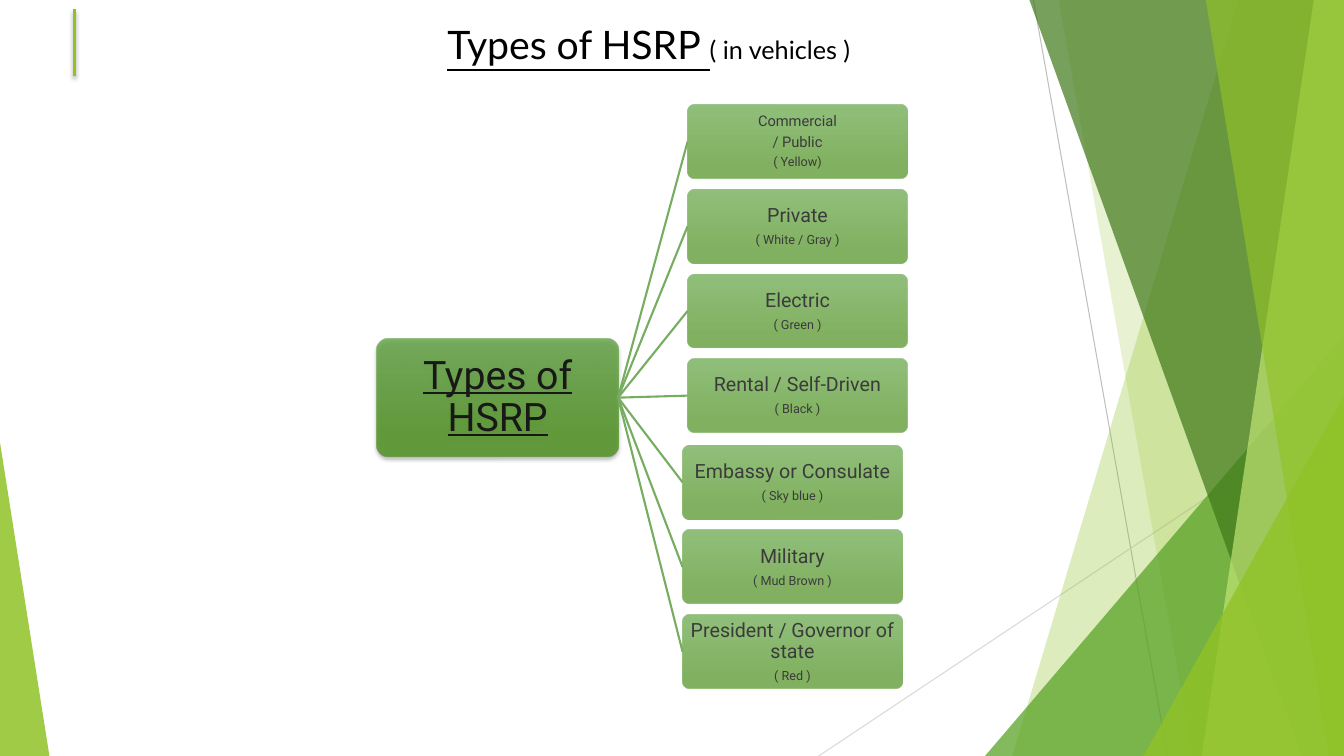
import pptx
import pptx.util
import pptx.dml.color
import pptx.enum.shapes
import pptx.enum.text
import pptx.oxml
import pptx.oxml.ns

Inches, Pt = pptx.util.Inches, pptx.util.Pt
RGB = pptx.dml.color.RGBColor.from_string
SHAPES = pptx.enum.shapes.MSO_SHAPE
CENTER = pptx.enum.text.PP_ALIGN.CENTER
MIDDLE = pptx.enum.text.MSO_ANCHOR.MIDDLE
qn = pptx.oxml.ns.qn

COLORS = {
    "lime": "90C226", "pale": "C0E474", "green": "54A021", "forest": "3F7819",
    "gray": "BFBFBF", "silver": "D9D9D9", "black": "000000",
    "top": "63A545", "bottom": "4D921E", "branch": "76AD61",
    "root": "181818", "type": "3B3B3B",
}

prs = pptx.Presentation()
prs.slide_width, prs.slide_height = Inches(13.33), Inches(7.5)
slide = prs.slides.add_slide(prs.slide_layouts[5])


def fade(shape, opacity):
    """Give every fill colour of the shape the same opacity in percent."""
    for color in shape._element.spPr.iter(qn("a:srgbClr")):
        alpha = color.makeelement(qn("a:alpha"), {"val": str(opacity * 1000)})
        color.append(alpha)


def draw_line(start, end, color, width):
    line = slide.shapes.add_connector(
        pptx.enum.shapes.MSO_CONNECTOR.STRAIGHT,
        *(Inches(value) for value in start + end))
    line.line.color.rgb = RGB(COLORS[color])
    line.line.width = Pt(width)
    spPr = line._element.spPr
    spPr.append(spPr.makeelement(qn("a:effectLst"), {}))
    return line


# Background facets: a band runs from the top x to the bottom x, to the right edge;
# a triangle has left, top, width and apex, and stands on the bottom edge
draw_line((10.25, 0), (11.58, 7.5), "gray", 0.75)
draw_line((13.33, 4.03), (8.12, 7.5), "silver", 0.75)
facets = [
    ((12.28, 10.04), "lime", 30),
    ((10.5, 11.83), "lime", 20),
    ((9.77, 3.33, 3.56, 1), "green", 72),
    ((10.21, 12.91), "forest", 70),
    ((13.03, 11.92), "pale", 70),
    ((11.96, 13.18), "lime", 65),
    ((11.34, 3.93, 1.99, 1), "lime", 80),
    ((0, 4.39, 0.49, 0), "lime", 85),
]
for geometry, color, opacity in facets:
    if len(geometry) == 2:
        top_x, bottom_x = geometry
        outline = slide.shapes.build_freeform(Inches(top_x), 0)
        outline.add_line_segments([
            (Inches(13.33), 0), (Inches(13.33), Inches(7.5)),
            (Inches(bottom_x), Inches(7.5))])
        facet = outline.convert_to_shape()
    else:
        left, top, width, apex = geometry
        facet = slide.shapes.add_shape(
            SHAPES.ISOSCELES_TRIANGLE, Inches(left), Inches(top),
            Inches(width), Inches(7.5 - top))
        facet.adjustments[0] = apex
    facet.shadow.inherit = False
    facet.line.fill.background()
    facet.fill.solid()
    facet.fill.fore_color.rgb = RGB(COLORS[color])
    fade(facet, opacity)

# Title with accent line
title = slide.shapes.title
title.left, title.top = Inches(1.12), Inches(0.12)
title.width, title.height = Inches(10.63), Inches(0.63)
heading = title.text_frame
heading.text = "Types of HSRP "
heading.auto_size = pptx.enum.text.MSO_AUTO_SIZE.NONE
heading.word_wrap = True
heading.vertical_anchor = MIDDLE
heading.paragraphs[0].alignment = CENTER
heading.paragraphs[0].add_run().text = "( in vehicles )"
for run, size, underline in zip(heading.paragraphs[0].runs, (28, 18), (True, False)):
    run.font.name = "Lato"
    run.font.size = Pt(size)
    run.font.underline = underline
    run.font.color.rgb = RGB(COLORS["black"])
accent = draw_line((0.74, 0.09), (0.74, 0.75), "lime", 2)

# Tree nodes: text, left, top, width, height, heading size; the root comes first
vehicle_types = [
    ("Commercial\n/ Public\n( Yellow)", 10.5),
    ("Private\n( White / Gray )", 14),
    ("Electric\n( Green )", 14),
    ("Rental / Self-Driven\n( Black )", 14),
    ("Embassy or Consulate\n( Sky blue )", 14),
    ("Military\n( Mud Brown )", 14),
    ("President / Governor of state\n( Red )", 14),
]
nodes = [("Types of HSRP", 3.74, 3.36, 2.39, 1.17, 28)]
for index, (text, size) in enumerate(vehicle_types):
    left, first_top = (6.82, 1.04) if index < 4 else (6.77, 1.06)
    nodes.append((text, left, first_top + 0.84 * index, 2.18, 0.73, size))

root = None
for text, left, top, width, height, size in nodes:
    is_root = root is None
    node = slide.shapes.add_shape(
        SHAPES.ROUNDED_RECTANGLE, Inches(left), Inches(top), Inches(width), Inches(height))
    node.adjustments[0] = 0.1
    node.shadow.inherit = False
    node.line.fill.background()
    node.fill.gradient()
    node.fill.gradient_angle = 270
    for stop, color, position in zip(node.fill.gradient_stops, ("top", "bottom"), (0, 0.78)):
        stop.color.rgb = RGB(COLORS[color])
        stop.position = position
    fade(node, 80 if is_root else 70)

    label = node.text_frame
    label.text = text
    label.word_wrap = True
    label.vertical_anchor = MIDDLE
    inset = Inches(0.06 if is_root else 0.03)
    label.margin_left = label.margin_right = inset
    label.margin_top = label.margin_bottom = inset
    for paragraph in label.paragraphs:
        point_size = 9 if paragraph.text.startswith("(") else size
        paragraph.alignment = CENTER
        paragraph.line_spacing = 0.9
        paragraph.space_after = Pt(0.35 * point_size)
        font = paragraph.runs[0].font
        font.name = "Roboto"
        font.size = Pt(point_size)
        font.underline = is_root
        font.color.rgb = RGB(COLORS["root" if is_root else "type"])

    # Branch from the root to the vehicle type
    if is_root:
        root = node
    else:
        branch = draw_line((6.13, 3.94), (left, top + height / 2), "branch", 1.5)
        branch.begin_connect(root, 3)
        branch.end_connect(node, 1)

# Soft shadow under the accent line and the root
for raised in (accent, root):
    raised._element.spPr.find(qn("a:effectLst")).append(pptx.oxml.parse_xml(
        '<a:outerShdw xmlns:a="http://schemas.openxmlformats.org/drawingml/2006/main" '
        'blurRad="38100" dist="25400" dir="5400000" rotWithShape="0">'
        f'<a:srgbClr val="{COLORS["black"]}"><a:alpha val="35000"/></a:srgbClr>'
        '</a:outerShdw>'))

prs.save("out.pptx")
